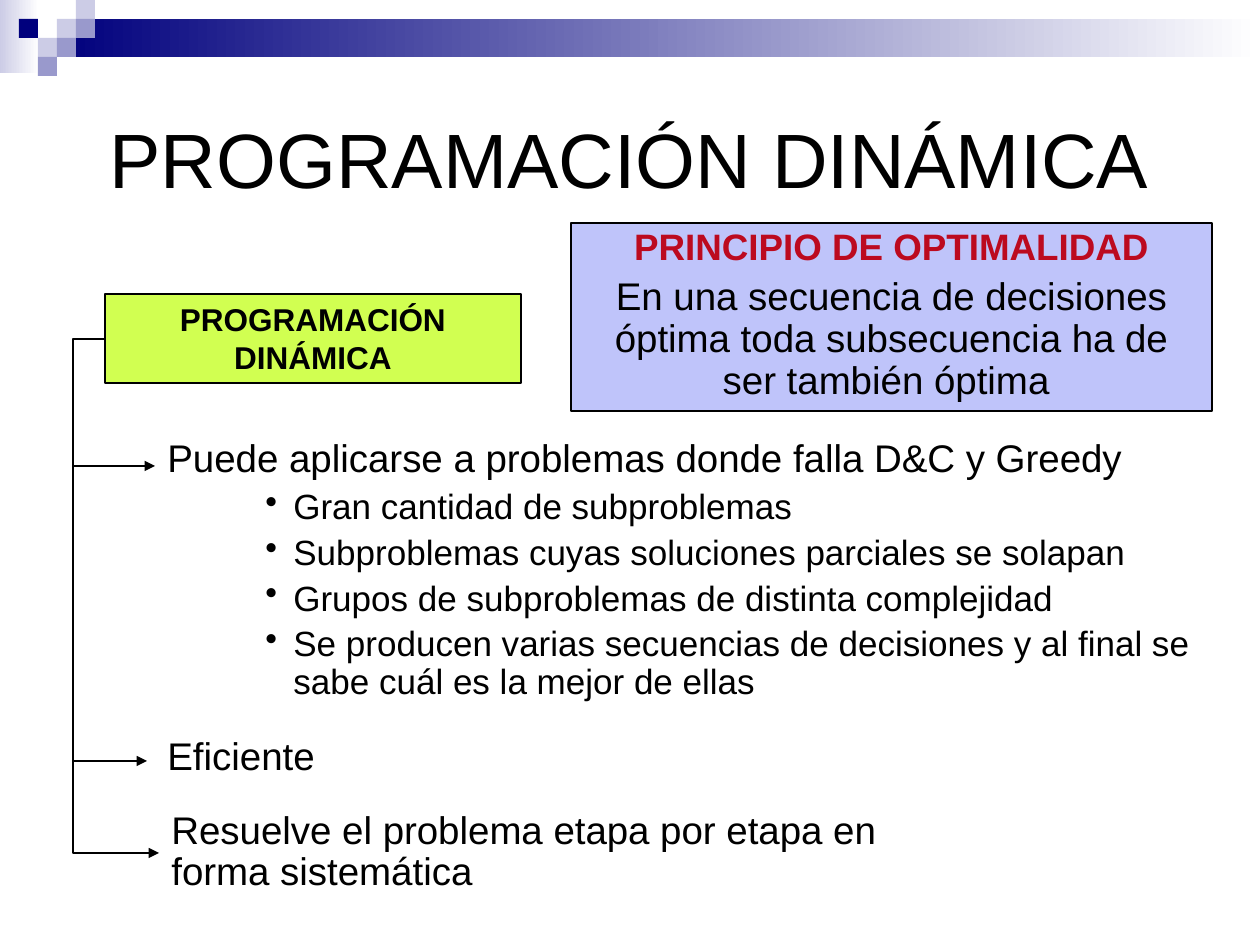
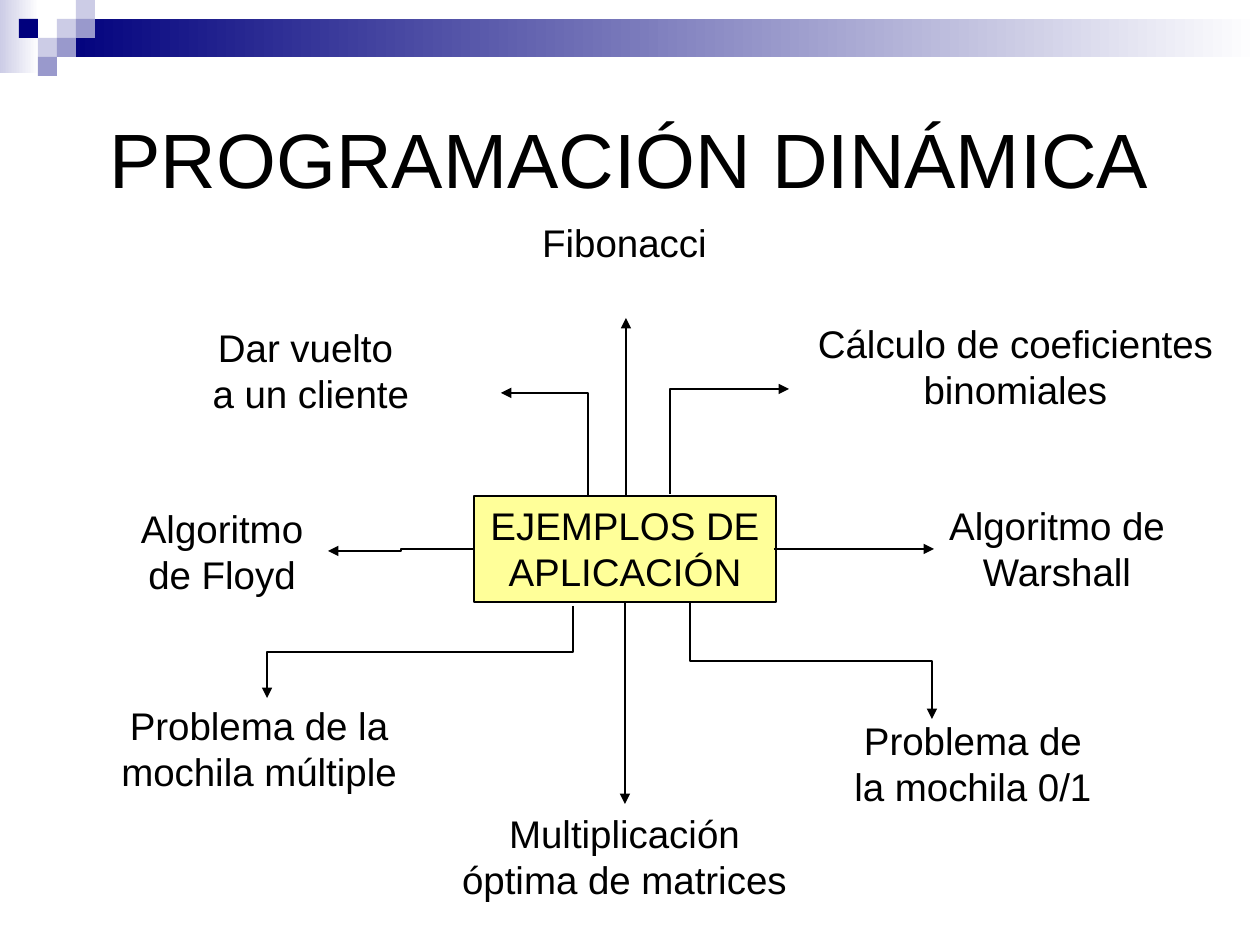
from lxml import etree
from pptx import Presentation
from pptx.dml.color import RGBColor
from pptx.enum.shapes import MSO_CONNECTOR, MSO_SHAPE
from pptx.enum.text import MSO_ANCHOR, PP_ALIGN
from pptx.oxml.ns import qn
from pptx.util import Pt

RECT = MSO_SHAPE.RECTANGLE
STRAIGHT, ELBOW = MSO_CONNECTOR.STRAIGHT, MSO_CONNECTOR.ELBOW
LEFT, CENTER = PP_ALIGN.LEFT, PP_ALIGN.CENTER
TOP, MIDDLE = MSO_ANCHOR.TOP, MSO_ANCHOR.MIDDLE

PX = 914400 // 126
SLIDE_SIZE = (1260, 945)
FONT = "Arial"
COLORS = {
    "ink": "000000", "white": "FFFFFF", "navy": "00007D", "mist": "CCCCE6",
    "lilac": "9999CC", "periwinkle": "A5ABF9", "crimson": "BC0A1F",
    "lime": "D1FF51", "cream": "FFFF99",
}

# Shared header: gradient bands and a mosaic of square tiles
TITLE = "PROGRAMACIÓN DINÁMICA"
TITLE_BOX = (63, 63, 1134, 189)
BANDS = [((0, 0, 39, 73), "mist"), ((57, 19, 1203, 38), "navy")]
TILE = 19
TILES = [  # column, row, colour
    (3, 1, "mist"), (4, 0, "mist"), (4, 1, "lilac"), (2, 2, "mist"),
    (1, 1, "navy"), (3, 2, "lilac"), (2, 3, "lilac"),
]

# Text formats
TITLE_STYLE = {"size": 44, "align": CENTER}
LABEL = {"size": 22, "align": CENTER}
TOPIC_STYLE = {"size": 18, "align": CENTER, "bold": True}
TIGHT = {"size": 22, "spacing": 0.9}
PRINCIPLE = {**TIGHT, "align": CENTER}
PRINCIPLE_HEAD = {**PRINCIPLE, "size": 21, "bold": True, "color": "crimson"}
BULLET = {**TIGHT, "size": 20, "bullet": "•"}
BULLET_INDENT = 28

# Slide 1: features of the method
PRINCIPLE_BOX = (571, 223, 641, 188)
PRINCIPLE_TEXT = [
    ("PRINCIPIO DE OPTIMALIDAD", PRINCIPLE_HEAD),
    ("En una secuencia de decisiones óptima toda subsecuencia ha de "
     "ser también óptima ", PRINCIPLE),
]
TOPIC_BOX = (105, 294, 416, 89)
TOPIC_LINES = ["PROGRAMACIÓN", "DINÁMICA"]
FEATURES = [
    ("Puede aplicarse a problemas donde falla D&C y Greedy", (155, 433, 1021, 54)),
    ("Eficiente", (155, 731, 696, 54)),
    ("Resuelve el problema etapa por etapa en forma sistemática", (159, 805, 762, 96)),
]
SUBPROBLEMS_BOX = (253, 483, 953, 227)
SUBPROBLEMS = [
    "Gran cantidad de subproblemas",
    "Subproblemas cuyas soluciones parciales se solapan",
    "Grupos de subproblemas de distinta complejidad",
    "Se producen varias secuencias de decisiones y al final se sabe "
    "cuál es la mejor de ellas",
]
TRUNK_X = 73
TRUNK_START, TRUNK_END = (105, 339), (159, 853)
BRANCHES = [(155, 466), (147, 761)]  # arrow tips

# Slide 2: applications around a hub; lines, box, arrow start, arrow end, route
HUB_TEXT = "EJEMPLOS DE APLICACIÓN"
HUB_BOX = (474, 496, 302, 106)
EXAMPLES = [
    (["Dar vuelto", " a un cliente"], (98, 318, 415, 105), (588, 496), (501, 393), "corner"),
    (["Cálculo de coeficientes binomiales"], (771, 314, 489, 105), (670, 494), (789, 389), "corner"),
    (["Problema de la mochila múltiple"], (74, 696, 370, 105), (573, 606), (267, 698), "vertical"),
    (["Problema de la mochila 0/1"], (840, 711, 266, 105), (690, 603), (932, 719), "vertical"),
    (["Algoritmo de Floyd"], (117, 499, 210, 105), (474, 549), (328, 551), "horizontal"),
    (["Algoritmo de Warshall"], (934, 496, 246, 105), (774, 549), (934, 549), "straight"),
    (["Fibonacci"], (501, 213, 247, 59), (626, 496), (626, 318), "straight"),
    (["Multiplicación óptima de matrices"], (441, 804, 367, 105), (625, 602), (625, 804), "straight"),
]


def rgb(name):
    return RGBColor.from_string(COLORS[name])


def emu(lengths):
    return [round(length * PX) for length in lengths]


def write(shape, paragraphs, anchor=TOP):
    """Fill a shape with (text, format) paragraphs."""
    frame = shape.text_frame
    frame.word_wrap = True
    frame.vertical_anchor = anchor
    for index, (text, style) in enumerate(paragraphs):
        paragraph = frame.add_paragraph() if index else frame.paragraphs[0]
        run = paragraph.add_run()
        run.text = text
        font = {"name": FONT, "size": Pt(style["size"]), "bold": style.get("bold", False)}
        for attribute, value in font.items():
            setattr(run.font, attribute, value)
        run.font.color.rgb = rgb(style.get("color", "ink"))
        paragraph.alignment = style.get("align", LEFT)
        if "spacing" in style:
            paragraph.line_spacing = style["spacing"]
            paragraph.space_before = Pt(style["size"] * 0.23)
        if "bullet" in style:
            properties = paragraph._p.get_or_add_pPr()
            properties.set("marL", str(BULLET_INDENT * PX))
            properties.set("indent", str(-BULLET_INDENT * PX))
            etree.SubElement(properties, qn("a:buChar"), char=style["bullet"])


def add_text(slide, box, paragraphs, anchor=TOP):
    write(slide.shapes.add_textbox(*emu(box)), paragraphs, anchor)


def add_block(slide, box, color, paragraphs=(), outlined=False, opacity=None):
    block = slide.shapes.add_shape(RECT, *emu(box))
    block.shadow.inherit = False
    block.fill.solid()
    block.fill.fore_color.rgb = rgb(color)
    if opacity:
        tint = block._element.spPr.find(".//" + qn("a:srgbClr"))
        etree.SubElement(tint, qn("a:alpha"), val=str(opacity * 1000))
    if outlined:
        block.line.color.rgb = rgb("ink")
        block.line.width = Pt(0.75)
    else:
        block.line.fill.background()
    if paragraphs:
        write(block, paragraphs)
    return block


def add_arrow(slide, start, end, route="straight", bend=None):
    """Draw an arrow; corner and vertical routes leave the start vertically."""
    (x1, y1), (x2, y2) = start, end
    dx, dy = x2 - x1, y2 - y1
    turned = route in ("corner", "vertical")
    if turned:  # lay the elbow out sideways about the same centre, then rotate it
        middle_x, middle_y = (x1 + x2) / 2, (y1 + y2) / 2
        half_w, half_h = abs(dy) / 2, abs(dx) / 2
        x1, x2 = middle_x - half_w, middle_x + half_w
        y1, y2 = middle_y - half_h, middle_y + half_h
    kind = STRAIGHT if route == "straight" else ELBOW
    arrow = slide.shapes.add_connector(kind, *emu((x1, y1, x2, y2)))
    arrow.line.color.rgb = rgb("ink")
    arrow.line.width = Pt(0.75)
    properties = arrow._element.spPr
    etree.SubElement(properties.find(qn("a:ln")), qn("a:tailEnd"), type="triangle")
    etree.SubElement(properties, qn("a:effectLst"))
    geometry = properties.find(qn("a:prstGeom"))
    if turned:
        transform = properties.find(qn("a:xfrm"))
        transform.set("rot", str((90 if dy > 0 else 270) * 60000))
        if dx * dy > 0:
            transform.set("flipV", "1")
    if route == "corner":
        geometry.set("prst", "bentConnector2")
    if bend is not None:
        guides = geometry.find(qn("a:avLst"))
        if guides is None:
            guides = etree.SubElement(geometry, qn("a:avLst"))
        etree.SubElement(guides, qn("a:gd"), name="adj1", fmla=f"val {round(bend * 100000)}")


def add_titled_slide(deck):
    slide = deck.slides.add_slide(deck.slide_layouts[6])
    for box, color in BANDS:
        band = add_block(slide, box, color)
        band.fill.gradient()
        band.fill.gradient_angle = 0
        for stop, shade in zip(band.fill.gradient_stops, (color, "white")):
            stop.color.rgb = rgb(shade)
    for column, row, color in TILES:
        add_block(slide, (column * TILE, row * TILE, TILE, TILE), color)
    add_text(slide, TITLE_BOX, [(TITLE, TITLE_STYLE)], MIDDLE)
    return slide


def build_features(deck):
    slide = add_titled_slide(deck)
    add_block(slide, PRINCIPLE_BOX, "periwinkle", PRINCIPLE_TEXT, outlined=True, opacity=70)
    add_block(slide, TOPIC_BOX, "lime", [(line, TOPIC_STYLE) for line in TOPIC_LINES], outlined=True)
    # Trunk from the topic box, then its branches
    bend = (TRUNK_X - TRUNK_START[0]) / (TRUNK_END[0] - TRUNK_START[0])
    add_arrow(slide, TRUNK_START, TRUNK_END, "horizontal", bend)
    for tip in BRANCHES:
        add_arrow(slide, (TRUNK_X + 1, tip[1]), tip)
    for feature, box in FEATURES:
        add_text(slide, box, [(feature, TIGHT)])
    add_text(slide, SUBPROBLEMS_BOX, [(item, BULLET) for item in SUBPROBLEMS])


def build_examples(deck):
    slide = add_titled_slide(deck)
    add_block(slide, HUB_BOX, "cream", [(HUB_TEXT, LABEL)], outlined=True)
    for lines, box, start, end, route in EXAMPLES:
        add_text(slide, box, [(line, LABEL) for line in lines])
        add_arrow(slide, start, end, route)


def main():
    deck = Presentation()
    deck.slide_width, deck.slide_height = emu(SLIDE_SIZE)
    build_features(deck)
    build_examples(deck)
    deck.save("out.pptx")


if __name__ == "__main__":
    main()
